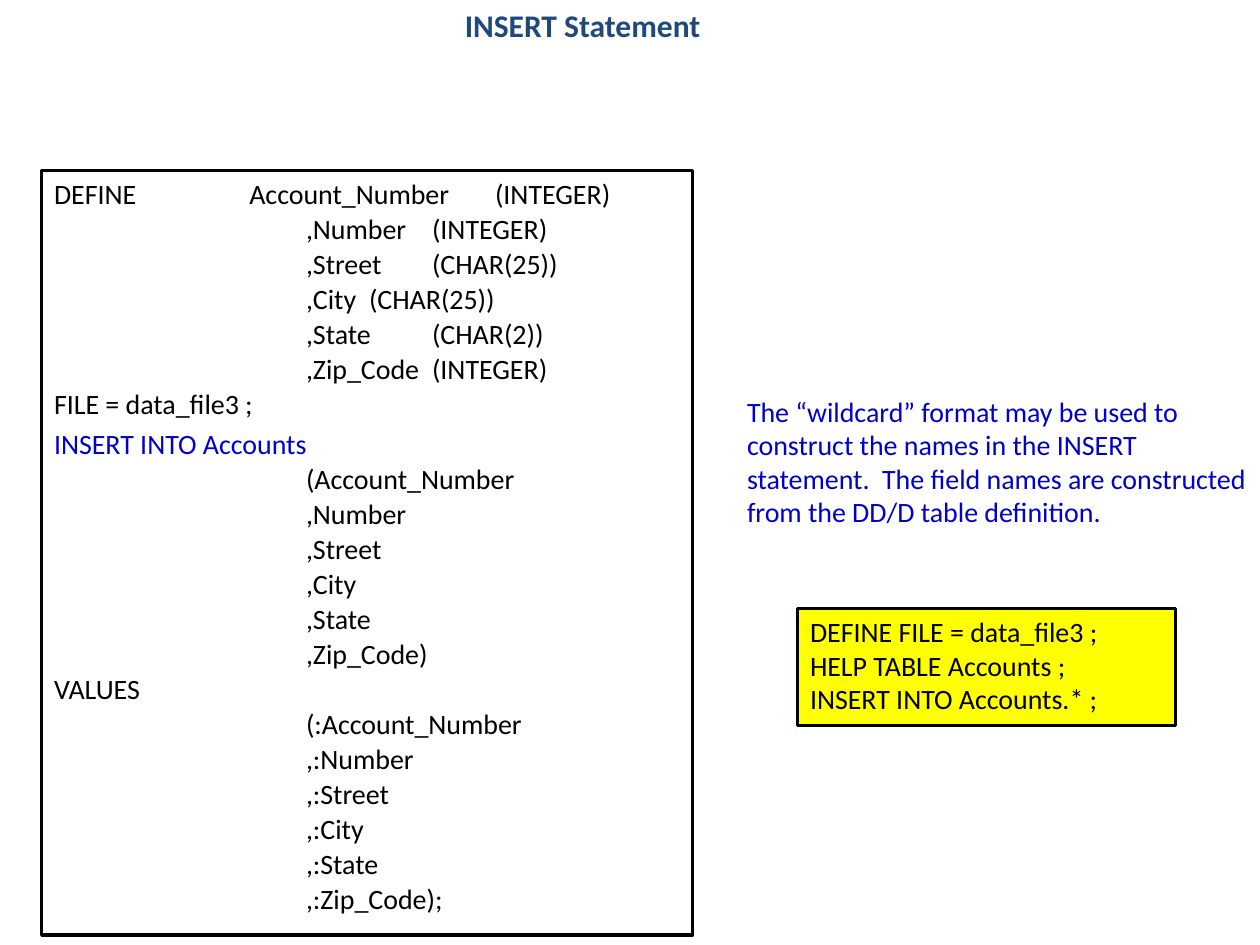
from lxml.etree import SubElement
from pptx import Presentation
from pptx.dml.color import RGBColor
from pptx.enum.shapes import MSO_SHAPE as Shape
from pptx.enum.text import MSO_ANCHOR as Anchor, MSO_AUTO_SIZE as Fit, PP_ALIGN as Align
from pptx.oxml.ns import qn
from pptx.util import Cm, Pt

BLACK, BLUE, NAVY, YELLOW = "000000", "0000CC", "1F497D", "FFFF00"
FIELDS = ["Account_Number", "Number", "Street", "City", "State", "Zip_Code"]
TYPES = ["INTEGER", "INTEGER", "CHAR(25)", "CHAR(25)", "CHAR(2)", "INTEGER"]
TABS = [1.27, 9.37]
INSERT = "INSERT INTO Accounts"


def paint(color):
    """Turn a hex string into a colour."""
    return RGBColor.from_string(color)


def style(para, color, size=16, bold=False):
    """Format every run of a paragraph."""
    for run in para.runs:
        font = run.font
        font.name, font.size, font.bold = "Calibri", Pt(size), bold
        font.color.rgb = paint(color)


def write(shape, lines, color, wrap=True):
    """Fill a shape with left-aligned lines and return its paragraphs."""
    frame = shape.text_frame
    frame.text = "\n".join(lines)
    frame.word_wrap, frame.auto_size = wrap, Fit.NONE
    frame.vertical_anchor = Anchor.TOP
    for para in frame.paragraphs:
        para.alignment = Align.LEFT
        style(para, color)
    return frame.paragraphs


def add_title(slide, text):
    """Place and format the title."""
    title = slide.shapes.title
    title.left, title.top, title.width, title.height = Cm(9.09), Cm(0), Cm(5.31), Cm(1.02)
    para = write(title, [text], NAVY, wrap=False)[0]
    para.alignment = Align.CENTER
    style(para, NAVY, 18, True)


def add_box(slide, left, top, width, height, fill=None):
    """Add an outlined rectangle."""
    box = slide.shapes.add_shape(Shape.RECTANGLE, Cm(left), Cm(top), Cm(width), Cm(height))
    box.shadow.inherit = False
    if fill:
        box.fill.solid()
        box.fill.fore_color.rgb = paint(fill)
    else:
        box.fill.background()
    box.line.color.rgb = paint(BLACK)
    box.line.width = Pt(1.75)
    return box


def add_note(slide, left, top, width, height, text):
    """Add a wrapped blue remark."""
    note = slide.shapes.add_textbox(Cm(left), Cm(top), Cm(width), Cm(height))
    write(note, [text], BLUE)


def set_tabs(para):
    """Give a paragraph its hanging indent and tab stops."""
    props = para._p.get_or_add_pPr()
    props.set("marL", str(Cm(3.81)))
    props.set("indent", str(-Cm(3.81)))
    stops = SubElement(props, qn("a:tabLst"))
    for pos in TABS:
        SubElement(stops, qn("a:tab"), pos=str(Cm(pos)), algn="l")


def list_names(mark, end):
    """Return the bracketed list of fields, one a line."""
    lines = [f"\t\t,{mark}{name}" for name in FIELDS]
    lines[0] = f"\t\t({mark}{FIELDS[0]}"
    lines[-1] += end
    return lines


def make_code():
    """Return the lines of the full statement."""
    define = [f"\t\t,{name}\t({kind})" for name, kind in zip(FIELDS, TYPES)]
    define[0] = f"DEFINE \t {FIELDS[0]}\t({TYPES[0]})"
    return [*define, "FILE = data_file3 ;", INSERT, *list_names("", ")"),
            "VALUES", *list_names(":", ");")]


def add_code(slide):
    """Add the box with the full statement."""
    box = add_box(slide, 0.84, 3.43, 13.13, 15.42)
    for num, para in enumerate(write(box, make_code(), BLACK)):
        set_tabs(para)
        if para.text == INSERT:
            style(para, BLUE)
            para.space_before = Pt(4)
        else:
            para.space_before = Pt(0.8 if num else 0)


def main():
    """Build the slide."""
    deck = Presentation()
    deck.slide_width, deck.slide_height = Cm(25.4), Cm(19.05)
    slide = deck.slides.add_slide(deck.slide_layouts[5])
    add_title(slide, "INSERT Statement")
    add_code(slide)
    add_note(slide, 14.81, 7.82, 10.59, 3.66,
             "The “wildcard” format may be used to construct the names in the INSERT "
             "statement.  The field names are constructed from the DD/D table definition.")
    short = add_box(slide, 16.08, 12.27, 7.62, 2.36, YELLOW)
    write(short, ["DEFINE FILE = data_file3 ;", "HELP TABLE Accounts ;",
                  "INSERT INTO Accounts.* ;"], BLACK, wrap=False)
    deck.save("out.pptx")


if __name__ == "__main__":
    main()
